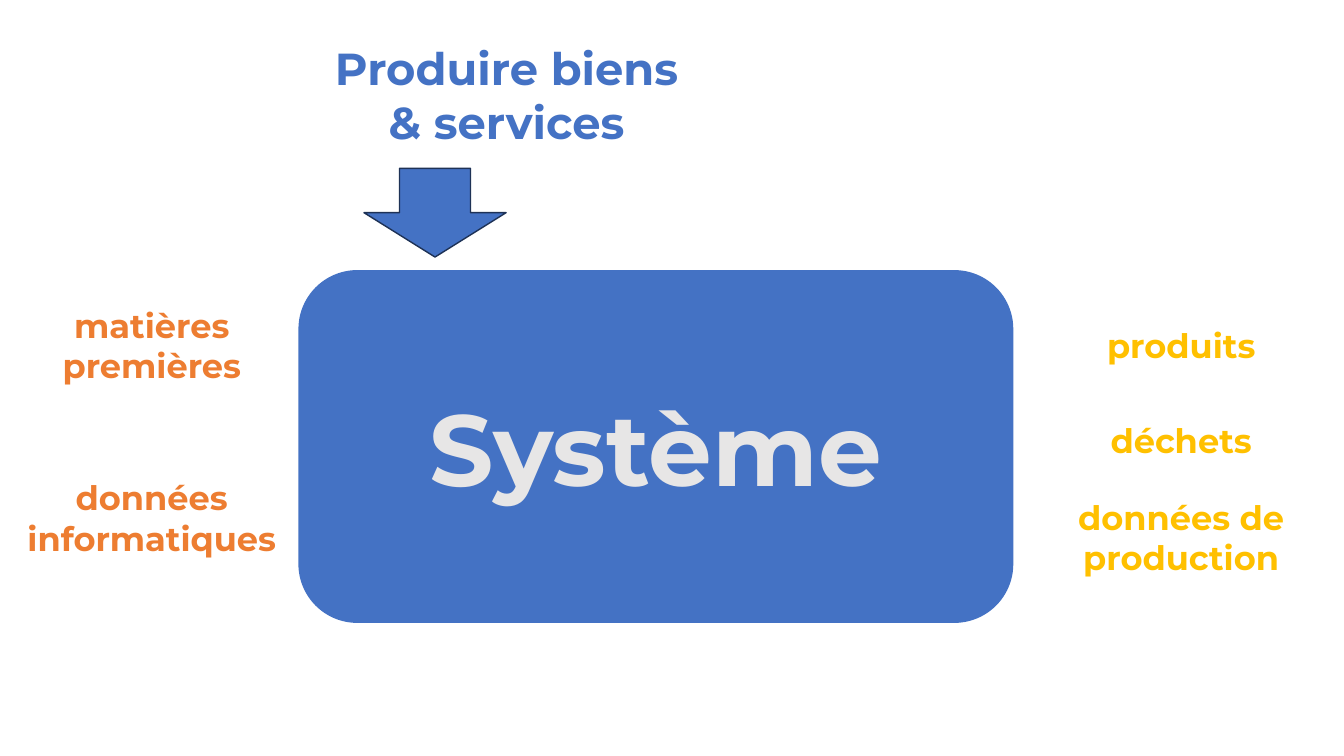
import pptx
import pptx.util
import pptx.dml.color
import pptx.enum.shapes
import pptx.enum.text

Inches = pptx.util.Inches
RGBColor = pptx.dml.color.RGBColor
MSO_SHAPE = pptx.enum.shapes.MSO_SHAPE

BLUE = RGBColor(0x44, 0x72, 0xC4)
NAVY = RGBColor(0x1E, 0x32, 0x56)
ORANGE = RGBColor(0xED, 0x7D, 0x31)
GOLD = RGBColor(0xFF, 0xC0, 0x00)
LIGHT_GREY = RGBColor(0xE7, 0xE6, 0xE6)


def write_text(sp, text, size, color):
    """Write one centred bold paragraph in a shape."""
    tf = sp.text_frame
    tf.word_wrap = True
    tf.vertical_anchor = pptx.enum.text.MSO_ANCHOR.MIDDLE
    p = tf.paragraphs[0]
    p.alignment = pptx.enum.text.PP_ALIGN.CENTER
    r = p.add_run()
    r.text = text
    font = {"name": "Montserrat", "size": pptx.util.Pt(size), "bold": True}
    for key, value in font.items():
        setattr(r.font, key, value)
    r.font.color.rgb = color


def add_block(s, kind, left, top, width, height):
    """Add a blue preset shape without shadow."""
    sp = s.shapes.add_shape(kind, Inches(left), Inches(top), Inches(width), Inches(height))
    sp.shadow.inherit = False
    sp.fill.solid()
    sp.fill.fore_color.rgb = BLUE
    return sp


prs = pptx.Presentation()
prs.slide_width = Inches(13.33)
prs.slide_height = Inches(7.5)
s = prs.slides.add_slide(prs.slide_layouts[6])

# System block
system = add_block(s, MSO_SHAPE.ROUNDED_RECTANGLE, 2.96, 2.68, 7.09, 3.5)
system.line.fill.background()
write_text(system, "Système", 72, LIGHT_GREY)

# Arrow from the purpose to the system
arrow = add_block(s, MSO_SHAPE.DOWN_ARROW, 3.61, 1.67, 1.41, 0.88)
arrow.line.color.rgb = NAVY
arrow.line.width = pptx.util.Pt(1)

# Purpose, inputs on the left, outputs on the right
IN_LEFT, OUT_LEFT, FLOW_WIDTH = 0.05, 10.26, 2.91
labels = [
    ("Produire biens & services", 3.13, 0.55, 3.79, 32, BLUE),
    ("matières premières", IN_LEFT, 3.04, FLOW_WIDTH, 24, ORANGE),
    ("données informatiques", IN_LEFT, 4.75, FLOW_WIDTH, 24, ORANGE),
    ("produits", OUT_LEFT, 3.04, FLOW_WIDTH, 24, GOLD),
    ("déchets", OUT_LEFT, 3.98, FLOW_WIDTH, 24, GOLD),
    ("données de production", OUT_LEFT, 4.94, FLOW_WIDTH, 24, GOLD),
]
for text, left, top, width, size, color in labels:
    sp = s.shapes.add_textbox(Inches(left), Inches(top), Inches(width), Inches(0.77))
    write_text(sp, text, size, color)

prs.save("out.pptx")
